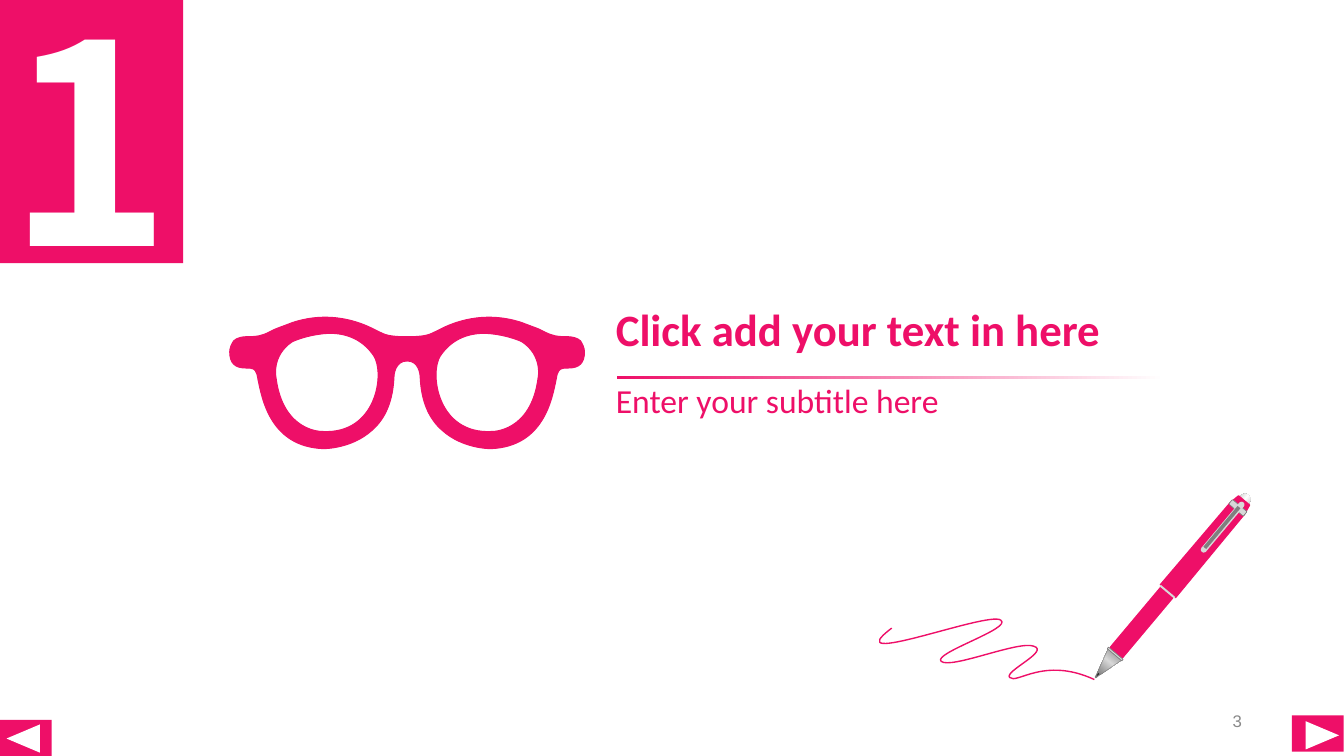
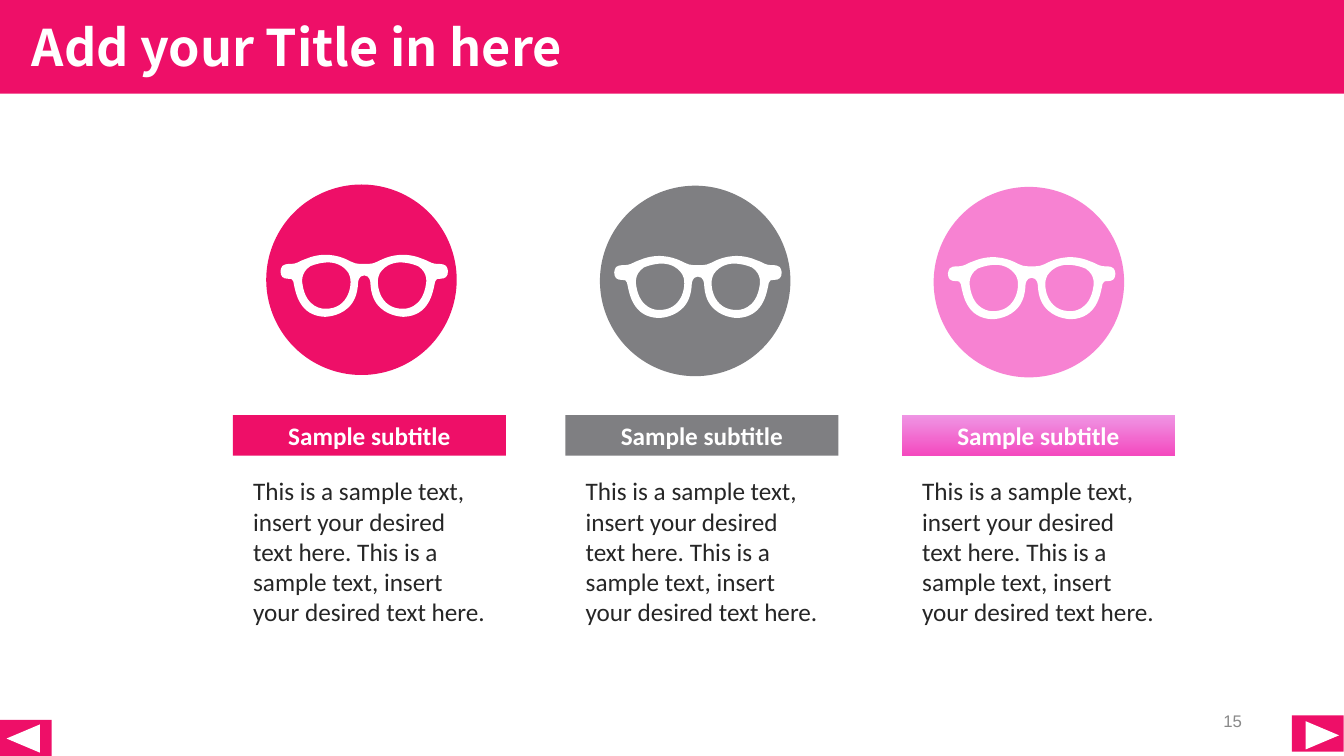
from math import cos, radians, sin

from lxml import etree
from pptx import Presentation
from pptx import util as u
from pptx.dml.color import RGBColor
from pptx.enum import shapes, text
from pptx.oxml.ns import qn

PINK = RGBColor(0xEE, 0x0F, 0x68)
ORCHID = RGBColor(0xF4, 0x4A, 0xBF)
LILAC = RGBColor(0xEF, 0x95, 0xE4)
SLATE = RGBColor(0x7F, 0x7F, 0x82)
GRAY = RGBColor(0x7F, 0x7F, 0x7F)
SILVER = RGBColor(0xD8, 0xD8, 0xD8)
PAGE_GRAY = RGBColor(0x89, 0x89, 0x89)
INK = RGBColor(0x26, 0x26, 0x26)
WHITE = RGBColor(0xFF, 0xFF, 0xFF)

HEAVY_FONT = "Noto Sans CJK SC"
BODY_FONT = "Calibri"
SLIDE_WIDTH, SLIDE_HEIGHT = 33.87, 19.05
SAMPLE_TEXT = ("This is a sample text, insert your desired text here. "
               "This is a sample text, insert your desired text here.")

KIND = shapes.MSO_SHAPE
ALIGN = text.PP_ALIGN
ANCHOR = text.MSO_ANCHOR

PEN_ANGLE = -50
GLASSES_WIDTH = 352
RIM_HALF = [
    (0, 27),
    (18, 27), (22, 25), (28, 22), (28, 22), (34, 19), (34, 19),
    (44, 14), (75, 0), (114, 13), (124, 17), (131, 19), (136, 22),
    (144, 26), (148, 27), (160, 27), (163, 27), (169, 28), (172, 31),
    (174, 34), (176, 38), (176, 42), (176, 53), (171, 58), (160, 58),
    (152, 58), (151, 59), (149, 64), (149, 65), (148, 67), (148, 69),
    (144, 88), (136, 136), (83, 138), (82, 138), (55, 138), (35, 120),
    (21, 108), (14, 90), (13, 67), (13, 65), (12, 51), (0, 51),
]
LENS = [
    (84, 121),
    (84, 121), (123, 122), (130, 68), (130, 68), (135, 46), (114, 32),
    (114, 32), (102, 26), (83, 24), (64, 22), (45, 28), (33, 46),
    (22, 63), (30, 124), (84, 121),
]
SCRIBBLE = [
    (12, 9),
    (-44, 51), (107, -8), (120, 1), (133, 9), (52, 34), (61, 42),
    (71, 50), (138, 21), (153, 27), (169, 32), (123, 52), (129, 58),
    (136, 65), (163, 37), (213, 60),
]


def mirrored(points):
    """Reflect points about the vertical axis, in reverse order."""
    return [(-x, y) for x, y in reversed(points)]


def paint(shape, fill=None, line=None, line_width=1):
    """Give a shape its fill and outline, and no shadow."""
    shape.shadow.inherit = False
    if fill is None:
        shape.fill.background()
    else:
        shape.fill.solid()
        shape.fill.fore_color.rgb = fill
    if line is None:
        shape.line.fill.background()
    else:
        shape.line.color.rgb = line
        shape.line.width = u.Pt(line_width)
    return shape


def paint_gradient(shape, colors, angle):
    """Fill a shape with evenly spaced colours at a clockwise angle."""
    shape.fill.gradient()
    shape.fill.gradient_angle = (360 - angle) % 360
    stops = shape._element.spPr.find(".//" + qn("a:gsLst"))
    for stop in list(stops):
        stops.remove(stop)
    for index, color in enumerate(colors):
        stop = etree.SubElement(stops, qn("a:gs"), pos=str(100000 * index // (len(colors) - 1)))
        etree.SubElement(stop, qn("a:srgbClr"), val=str(color))


def set_opacity(shape, percent):
    """Make the solid fill of a shape partly transparent."""
    color = shape._element.spPr.find(qn("a:solidFill")).find(qn("a:srgbClr"))
    etree.SubElement(color, qn("a:alpha"), val=str(percent * 1000))


def add_block(slide, kind, box, fill, rotation=0, **outline):
    """Add a preset shape in a box of left, top, width and height."""
    shape = slide.shapes.add_shape(kind, *map(u.Cm, box))
    shape.rotation = rotation
    return paint(shape, fill, **outline)


def add_outline(slide, contours, fill=None, closed=True, **outline):
    """Add a freeform from one or more contours."""
    paths = [[(u.Cm(x), u.Cm(y)) for x, y in contour] for contour in contours]
    builder = slide.shapes.build_freeform(*paths[0][0])
    for index, points in enumerate(paths):
        if index:
            builder.move_to(*points[0])
        builder.add_line_segments(points[1:], close=closed)
    return paint(builder.convert_to_shape(), fill, **outline)


def round_outline(shape):
    """Turn every three straight segments into one cubic curve."""
    segments = list(shape._element.spPr.iter(qn("a:lnTo")))
    for first in range(0, len(segments), 3):
        curve = etree.Element(qn("a:cubicBezTo"))
        segments[first].addprevious(curve)
        for segment in segments[first:first + 3]:
            curve.append(segment[0])
            segment.getparent().remove(segment)


def write(shape, words, size, color, font=BODY_FONT, bold=False, align=ALIGN.LEFT,
          anchor=ANCHOR.MIDDLE, inset=(0.25, 0.13)):
    """Put one formatted paragraph in a shape."""
    frame = shape.text_frame
    frame.word_wrap = True
    frame.vertical_anchor = anchor
    frame.margin_left = frame.margin_right = u.Cm(inset[0])
    frame.margin_top = frame.margin_bottom = u.Cm(inset[1])
    frame.text = words
    paragraph = frame.paragraphs[0]
    paragraph.alignment = align
    run = paragraph.runs[0].font
    run.name, run.size, run.bold = font, u.Pt(size), bold
    run.color.rgb = color
    return paragraph


def add_label(slide, box, words, size, color, **style):
    """Add a text box with one paragraph."""
    return write(slide.shapes.add_textbox(*map(u.Cm, box)), words, size, color, **style)


def add_glasses(slide, left, top, width, color, **outline):
    """Draw a pair of glasses with see-through lenses."""
    scale = width / GLASSES_WIDTH
    contours = [RIM_HALF + mirrored(RIM_HALF)[1:], LENS, mirrored(LENS)]
    placed = [[(left + width / 2 + x * scale, top + y * scale) for x, y in contour]
              for contour in contours]
    round_outline(add_outline(slide, placed, color, **outline))


def add_pen(slide, tip_x, tip_y):
    """Draw a slanted pen whose parts are measured from its tip."""
    along, across = cos(radians(PEN_ANGLE)), sin(radians(PEN_ANGLE))

    def place(distance, offset):
        """Turn a place on the pen into a place on the slide."""
        return (tip_x + distance * along - offset * across,
                tip_y + distance * across + offset * along)

    def part(kind, center, length, width, fill, offset=0, **outline):
        """Add a preset shape lying along the pen."""
        x, y = place(center, offset)
        box = (x - length / 2, y - width / 2, length, width)
        return add_block(slide, kind, box, fill, PEN_ANGLE, **outline)

    def profile(edge, fill, **outline):
        """Add a symmetric outline lying along the pen."""
        points = edge + [(distance, -offset) for distance, offset in reversed(edge)]
        return add_outline(slide, [[place(*point) for point in points]], fill, **outline)

    cap = part(KIND.ROUNDED_RECTANGLE, 5.63, 0.74, 0.28, GRAY)
    cap.adjustments[0] = 0.5
    paint_gradient(cap, [GRAY, WHITE, GRAY], 90)
    profile([(0, 0.01), (0.14, 0.04), (0.31, 0.03)], INK, line=GRAY, line_width=0.75)
    barrel = part(KIND.ROUNDED_RECTANGLE, 1.8, 2.06, 0.48, PINK, line=WHITE)
    barrel.adjustments[0] = 0.11
    cone = profile([(0.14, 0.05), (0.75, 0.22)], GRAY, line=GRAY, line_width=0.25)
    paint_gradient(cone, [GRAY, SILVER, GRAY], 310)
    profile([(2.84, 0.25), (5.56, 0.23), (5.82, 0.18)], PINK, line=PINK)
    part(KIND.RECTANGLE, 2.82, 0.05, 0.48, SILVER)
    for center, length in ((0.77, 0.05), (5.58, 0.15)):
        part(KIND.ROUNDED_RECTANGLE, center, length, 0.48, SILVER, line=GRAY, line_width=0.5)
    clip = part(KIND.ROUNDED_RECTANGLE, 4.96, 1.63, 0.15, SILVER, offset=0.02)
    clip.adjustments[0] = 0.5
    for offset in (0.03, -0.01):
        ends = place(4.27, offset) + place(5.61, offset)
        groove = slide.shapes.add_connector(shapes.MSO_CONNECTOR.STRAIGHT, *map(u.Cm, ends))
        groove.line.color.rgb = GRAY
        groove.line.width = u.Pt(1.5)
        etree.SubElement(groove._element.spPr, qn("a:effectLst"))


def add_scribble(slide, left, top, scale):
    """Draw the open line left by the pen."""
    points = [(left + x * scale, top + y * scale) for x, y in SCRIBBLE]
    round_outline(add_outline(slide, [points], closed=False, line=PINK))


def add_button(slide, left, top, arrow_x, arrow_y, rotation):
    """Add a navigation button with an arrow inside."""
    add_block(slide, KIND.RECTANGLE, (left, top, 1.3, 0.91), PINK)
    arrow = (left + arrow_x, top + arrow_y, 0.71, 0.84)
    add_block(slide, KIND.ISOSCELES_TRIANGLE, arrow, WHITE, rotation)


def add_page(presentation, number):
    """Add a blank slide with its page number and navigation buttons."""
    slide = presentation.slides.add_slide(presentation.slide_layouts[6])
    add_label(slide, (23.93, 17.65, 7.62, 1.02), number, 12, PAGE_GRAY,
              font="Arial", align=ALIGN.RIGHT)
    add_button(slide, 0, 18.14, 0.23, 0.05, 270)
    add_button(slide, 32.56, 18.03, 0.41, 0.08, 90)
    return slide


def add_heading(slide, left, top, title, subtitle):
    """Add a section title, a fading rule and a subtitle."""
    paragraph = add_label(slide, (left, top, 15.24, 1.73), title, 32, PINK, bold=True)
    paragraph.line_spacing = 0.9
    rule = add_block(slide, KIND.RECTANGLE, (left + 0.28, top + 1.98, 13.79, 0.08), PINK)
    paint_gradient(rule, [PINK, WHITE], 0)
    add_label(slide, (left, top + 2.06, 15.52, 1.07), subtitle, 24, PINK)


def add_section_slide(presentation):
    """Build the numbered section opener."""
    slide = add_page(presentation, "3")
    add_heading(slide, 15.27, 7.49, "Click add your text in here", "Enter your subtitle here")
    add_glasses(slide, 5.79, 7.8, 8.94, PINK, line=PINK, line_width=0.75)
    add_pen(slide, 27.61, 17.07)
    add_scribble(slide, 22.17, 15.6, 0.0254)
    add_block(slide, KIND.RECTANGLE, (0, 0, 4.62, 6.63), PINK)
    add_label(slide, (-0.05, -0.94, 9.35, 8.69), "1", 199, WHITE,
              font=HEAVY_FONT, bold=True, anchor=ANCHOR.TOP)


def add_panel(slide, left, top, color):
    """Add a subtitle bar with sample text below it."""
    bar = add_block(slide, KIND.RECTANGLE, (left, top, 6.88, 1.02), color)
    write(bar, "Sample subtitle", 18, WHITE, bold=True, align=ALIGN.CENTER)
    add_label(slide, (left, top + 1.02, 6.88, 5.82), SAMPLE_TEXT, 18, INK,
              anchor=ANCHOR.TOP, inset=(0.51, 0.51))
    return bar


def add_badge(slide, left, top, color):
    """Add a disc with white glasses."""
    disc = add_block(slide, KIND.OVAL, (left, top, 4.8, 4.8), color)
    add_glasses(slide, left + 0.36, top + 1.68, 4.22, WHITE)
    return disc


def add_columns_slide(presentation):
    """Build the slide with three columns under a title band."""
    slide = add_page(presentation, "15")
    band = add_block(slide, KIND.RECTANGLE, (0, 0, SLIDE_WIDTH, 2.36), PINK)
    write(band, "Add your Title in here", 36, WHITE, font=HEAVY_FONT, bold=True,
          inset=(0.8, 0.13))
    columns = ((5.87, PINK), (14.25, SLATE), (22.73, ORCHID))
    for index, (left, color) in enumerate(columns):
        bar = add_panel(slide, left, 10.46, color)
        disc = add_badge(slide, 6.71 + 8.41 * index, 4.65 + 0.03 * index, color)
        if color == ORCHID:
            paint_gradient(bar, [LILAC, ORCHID], 90)
            set_opacity(disc, 69)


def main():
    """Build and save the presentation."""
    presentation = Presentation()
    presentation.slide_width = u.Cm(SLIDE_WIDTH)
    presentation.slide_height = u.Cm(SLIDE_HEIGHT)
    add_section_slide(presentation)
    add_columns_slide(presentation)
    presentation.save("out.pptx")


if __name__ == "__main__":
    main()
